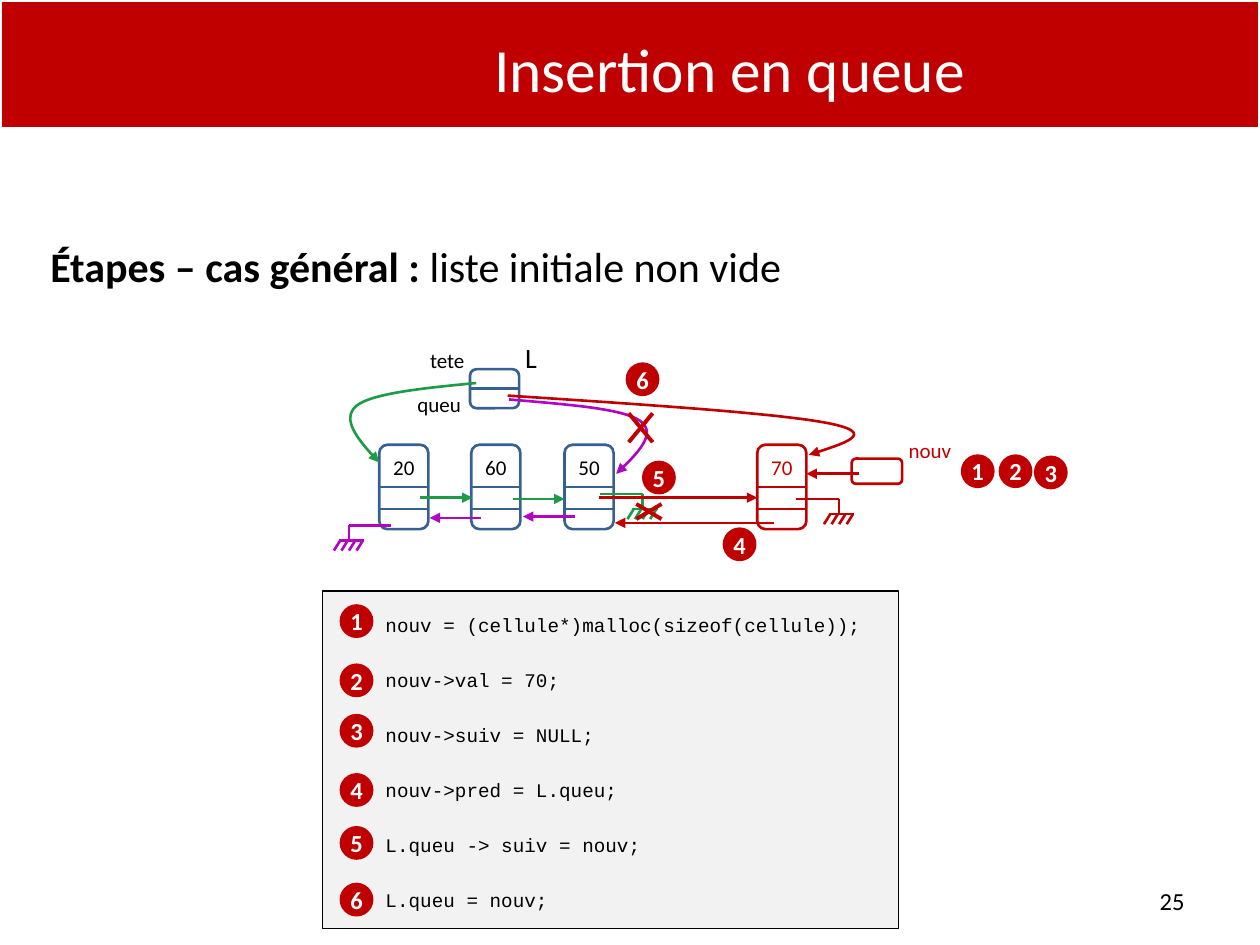
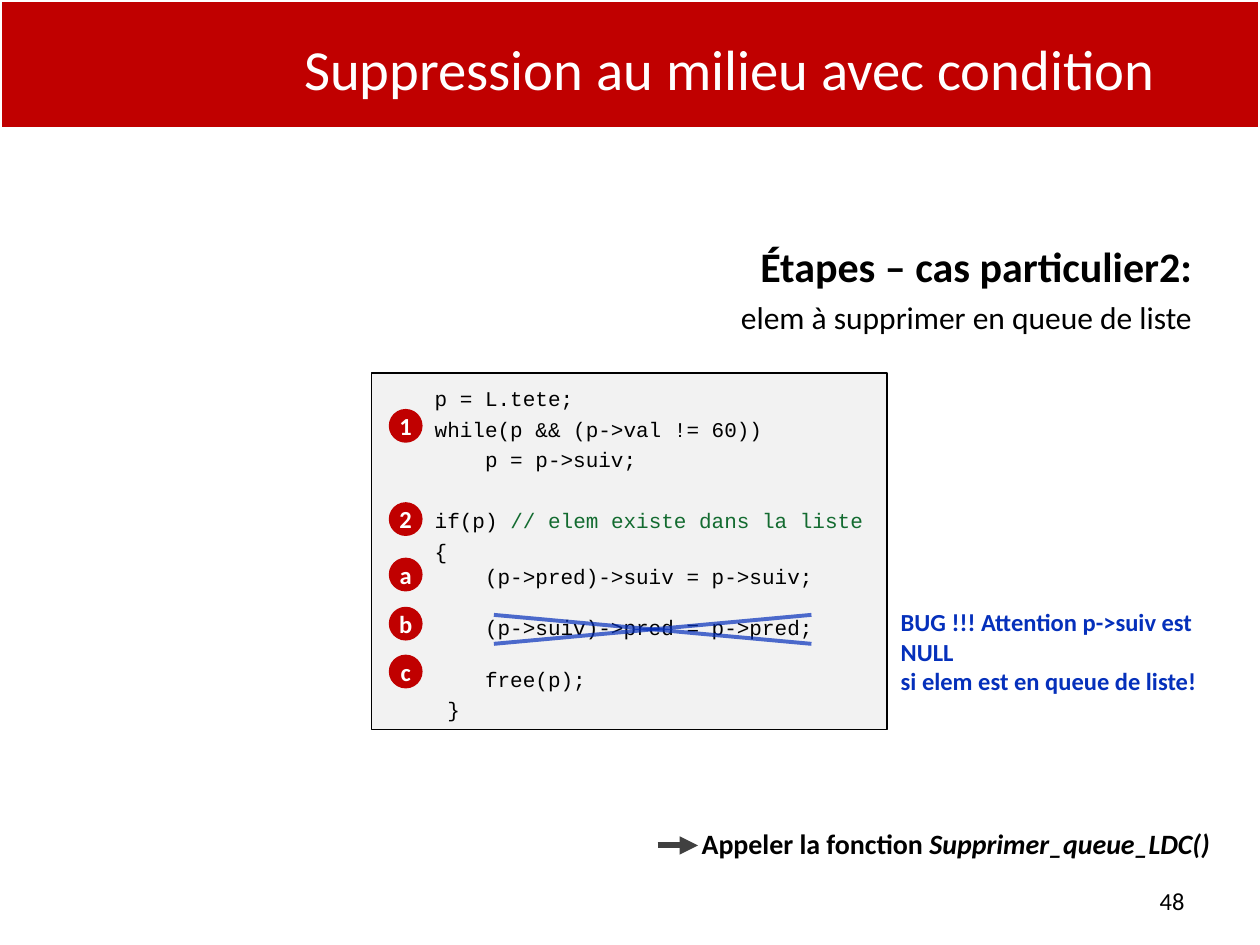
from lxml.etree import SubElement
from pptx import Presentation
from pptx.dml.color import RGBColor
from pptx.enum.shapes import MSO_CONNECTOR as CONN, MSO_SHAPE as SHAPE
from pptx.enum.text import MSO_ANCHOR as ANCHOR, PP_ALIGN as ALIGN
from pptx.oxml.ns import qn
from pptx.util import Inches, Pt

RED, BLUE, GREEN, PURPLE = "C00000", "376092", "1C9C47", "B105C3"
BLACK, WHITE, PANEL, COMMENT = "000000", "FFFFFF", "F2F2F2", "136B30"
WARNING, ARROW = "0530BB", "404040"
BODY, MONO = "Calibri", "Courier New"
CELL_W, CELL_H, CELL_TOP = 0.39, 0.67, 3.53
BADGE = 0.24
CURVE_STEPS = 16


def rgb(value):
    return RGBColor.from_string(value)


def bezier(start, segments):
    points = [start]
    for a, b, end in segments:
        begin = points[-1]
        for i in range(1, CURVE_STEPS + 1):
            t = i / CURVE_STEPS
            u = 1 - t
            points.append(tuple(
                u**3 * p0 + 3 * u * u * t * p1 + 3 * u * t * t * p2 + t**3 * p3
                for p0, p1, p2, p3 in zip(begin, a, b, end)))
    return points


class Deck:
    def __init__(self):
        self.prs = Presentation()
        self.prs.slide_width, self.prs.slide_height = Inches(10), Inches(7.5)
        self.s = None

    def slide(self, title, number, title_size):
        self.s = self.prs.slides.add_slide(self.prs.slide_layouts[6])
        self.box(SHAPE.RECTANGLE, 0, 0, 10, 1.02, RED, WHITE, 2)
        self.text(2.17, 0.19, 7.24, 0.69, [title], title_size, WHITE,
                  align=ALIGN.CENTER, anchor=ANCHOR.MIDDLE)
        self.text(7.17, 6.95, 2.33, 0.4, [number], 14,
                  align=ALIGN.RIGHT, anchor=ANCHOR.MIDDLE)

    def box(self, kind, x, y, w, h, fill, line, width):
        sp = self.s.shapes.add_shape(kind, Inches(x), Inches(y), Inches(w), Inches(h))
        sp.shadow.inherit = False
        if fill:
            sp.fill.solid()
            sp.fill.fore_color.rgb = rgb(fill)
        else:
            sp.fill.background()
        sp.line.color.rgb = rgb(line)
        sp.line.width = Pt(width)
        return sp

    def fill_text(self, sp, paragraphs, size, color, font=BODY, bold=False,
                  align=ALIGN.LEFT, anchor=ANCHOR.TOP, wrap=True, insets=None, gaps=()):
        tf = sp.text_frame
        tf.word_wrap = wrap
        tf.vertical_anchor = anchor
        if insets:
            (tf.margin_left, tf.margin_top,
             tf.margin_right, tf.margin_bottom) = map(Inches, insets)
        for i, runs in enumerate(paragraphs):
            p = tf.add_paragraph() if i else tf.paragraphs[0]
            p.alignment = align
            if i and gaps:
                p.space_before = Pt(gaps[i - 1])
            for part in [(runs, {})] if isinstance(runs, str) else runs:
                content, style = part
                r = p.add_run()
                r.text = content
                r.font.name = font
                r.font.size = Pt(style.get("size", size))
                r.font.bold = style.get("bold", bold)
                r.font.italic = style.get("italic", False)
                r.font.color.rgb = rgb(style.get("color", color))

    def text(self, x, y, w, h, paragraphs, size, color=BLACK, **options):
        sp = self.s.shapes.add_textbox(Inches(x), Inches(y), Inches(w), Inches(h))
        self.fill_text(sp, paragraphs, size, color, **options)

    def label(self, x, y, w, h, content, size=12, color=BLACK):
        self.text(x, y, w, h, [content], size, color, align=ALIGN.CENTER, wrap=False)

    def code(self, x, y, w, h, lines, size, gaps):
        sp = self.box(SHAPE.RECTANGLE, x, y, w, h, PANEL, BLACK, 0.75)
        self.fill_text(sp, lines, size, BLACK, font=MONO, anchor=ANCHOR.MIDDLE,
                       insets=(0.5, 0.09, 0, 0.05), gaps=gaps)

    def badge(self, x, y, content):
        sp = self.box(SHAPE.OVAL, x, y, BADGE, BADGE, RED, RED, 2)
        self.fill_text(sp, [content], 14, WHITE, bold=True, align=ALIGN.CENTER,
                       anchor=ANCHOR.MIDDLE, wrap=False, insets=(0, 0, 0, 0))

    def arrowhead(self, sp):
        SubElement(sp.line._get_or_add_ln(), qn("a:tailEnd"), type="triangle")

    def line(self, start, end, color, width=1.5, arrow=False, alpha=None):
        c = self.s.shapes.add_connector(CONN.STRAIGHT, *map(Inches, (*start, *end)))
        c.line.color.rgb = rgb(color)
        c.line.width = Pt(width)
        if alpha:
            fill = c.line._get_or_add_ln().find(qn("a:solidFill"))
            SubElement(fill[0], qn("a:alpha"), val=str(alpha * 1000))
        if arrow:
            self.arrowhead(c)
        SubElement(c._element.spPr, qn("a:effectLst"))
        return c

    def cross(self, left, top, right, bottom, color=RED, alpha=None):
        self.line((left, top), (right, bottom), color, 2.25, alpha=alpha)
        self.line((right, top), (left, bottom), color, 2.25, alpha=alpha)

    def curve(self, start, segments, color):
        points = [(Inches(x), Inches(y)) for x, y in bezier(start, segments)]
        builder = self.s.shapes.build_freeform(*points[0])
        builder.add_line_segments(points[1:], close=False)
        sp = builder.convert_to_shape()
        sp.shadow.inherit = False
        sp.fill.background()
        sp.line.color.rgb = rgb(color)
        sp.line.width = Pt(1.5)
        self.arrowhead(sp)

    def split_box(self, x, y, h, color):
        sp = self.box(SHAPE.ROUNDED_RECTANGLE, x, y, CELL_W, h, None, color, 1.5)
        divider = self.line((x, y + h / 2), (x + CELL_W, y + h / 2), color)
        divider.begin_connect(sp, 1)
        divider.end_connect(sp, 3)
        return sp

    def cell(self, x, value, color=BLUE, text_color=BLACK):
        sp = self.split_box(x, CELL_TOP, CELL_H, color)
        self.line((x, CELL_TOP + 0.51), (x + CELL_W, CELL_TOP + 0.51), color)
        self.fill_text(sp, [value], 12, text_color, align=ALIGN.CENTER,
                       wrap=False, insets=(0, 0.06, 0, 0))

    def ground(self, start_x, x, y, color):
        bar = y + 0.12
        self.line((start_x, y), (x, y), color)
        self.line((x, y), (x, bar), color)
        self.line((x - 0.08, bar), (x + 0.12, bar), color)
        for i in range(4):
            top = x - 0.07 + 0.06 * i
            self.line((top, bar), (top - 0.05, bar + 0.08), color)


def tail_insertion(d):
    d.slide("Insertion en queue", "25", 35.1)
    d.text(0.28, 1.86, 9.37, 5.43,
           [[("Étapes – cas général : ", {"bold": True}), ("liste initiale non vide", {})]],
           24, insets=(0.12, 0.05, 0.1, 0.05))

    d.code(2.56, 4.69, 4.57, 2.68, [
        "nouv = (cellule*)malloc(sizeof(cellule));",
        "nouv->val = 70;",
        "nouv->suiv = NULL;",
        "nouv->pred = L.queu;",
        "L.queu -> suiv = nouv;",
        "L.queu = nouv;"], 11, [18.3] * 5)
    for i, y in enumerate((4.81, 5.28, 5.68, 6.15, 6.57, 7.02), 1):
        d.badge(2.71, y, str(i))

    for x, value in ((3.01, "20"), (3.74, "60"), (4.48, "50")):
        d.cell(x, value)
    d.cell(6.01, "70", RED, RED)
    d.box(SHAPE.ROUNDED_RECTANGLE, 6.76, 3.64, 0.4, 0.2, None, RED, 1.5)
    d.label(7.1, 3.42, 0.56, 0.3, "nouv", color=RED)
    d.split_box(3.73, 2.93, 0.31, BLUE)
    d.label(3.05, 2.71, 1, 0.24, "tete")
    d.label(3.06, 3.06, 0.85, 0.3, "queu")
    d.label(4.03, 2.65, 0.37, 0.29, "L", 16)

    d.ground(6.32, 6.66, 3.96, RED)
    d.ground(3.1, 2.77, 4.17, PURPLE)
    d.ground(4.76, 5.1, 3.92, GREEN)
    for start, end, color in (
            ((3.33, 3.95), (3.75, 3.95), GREEN),
            ((4.07, 3.96), (4.48, 3.96), GREEN),
            ((3.82, 4.11), (3.41, 4.11), PURPLE),
            ((4.56, 4.1), (4.15, 4.1), PURPLE),
            ((6.14, 4.15), (4.88, 4.15), RED),
            ((6.82, 3.76), (6.4, 3.76), RED),
            ((4.75, 3.95), (6.01, 3.95), RED)):
        d.line(start, end, color, arrow=True)

    d.curve((3.78, 3.04), [((3.37, 3.08), (2.96, 3.12), (2.83, 3.22)),
                           ((2.7, 3.33), (2.85, 3.5), (3.01, 3.67))], GREEN)
    d.curve((4.04, 3.17), [((4.49, 3.21), (4.94, 3.24), (5.08, 3.34)),
                           ((5.22, 3.44), (5.06, 3.6), (4.89, 3.76))], PURPLE)
    d.curve((4.03, 3.14), [((5.1, 3.21), (6.18, 3.28), (6.58, 3.36)),
                           ((6.98, 3.44), (6.7, 3.52), (6.42, 3.61))], RED)
    d.cross(5.05, 4, 5.25, 4.12)
    d.cross(4.99, 3.28, 5.18, 3.51)
    for x, y, step in ((7.64, 3.62, "1"), (7.94, 3.62, "2"), (8.22, 3.63, "3"),
                       (5.75, 4.2, "4"), (5.11, 3.67, "5"), (4.98, 2.89, "6")):
        d.badge(x, y, step)


def middle_deletion(d):
    d.slide("Suppression au milieu avec condition", "48", 32.4)
    d.text(4.84, 1.86, 4.72, 5.43, [
        [("Étapes – cas particulier2:", {"size": 24, "bold": True})],
        "elem à supprimer en queue de liste"], 18, align=ALIGN.RIGHT, gaps=[4])

    d.code(2.95, 2.96, 4.09, 2.83, [
        "p = L.tete;",
        "while(p && (p->val != 60))",
        "    p = p->suiv;",
        [("if(p) ", {}), ("// elem existe dans la liste", {"color": COMMENT})],
        "{",
        "    (p->pred)->suiv = p->suiv;",
        "    (p->suiv)->pred = p->pred;",
        "    free(p);",
        " }"], 12, [3.2, 3.2, 20, 3.2, 0, 15, 15, 3.2])
    for y, step in ((3.26, "1"), (4, "2"), (4.44, "a"), (4.83, "b"), (5.21, "c")):
        d.badge(3.1, y, step)
    d.cross(3.92, 4.88, 6.44, 5.11, WARNING, alpha=70)

    d.text(7.05, 4.77, 2.95, 0.57,
           ["BUG !!! Attention p->suiv est NULL", "si elem est en queue de liste!"],
           14, WARNING, bold=True, wrap=False)
    d.text(5.47, 6.51, 4.49, 0.37,
           [[("Appeler la fonction ", {}), ("Supprimer_queue_LDC()", {"italic": True})]],
           16, bold=True)
    d.line((5.22, 6.71), (5.54, 6.71), ARROW, 3.5, arrow=True)


def main():
    d = Deck()
    tail_insertion(d)
    middle_deletion(d)
    d.prs.save("out.pptx")


if __name__ == "__main__":
    main()
